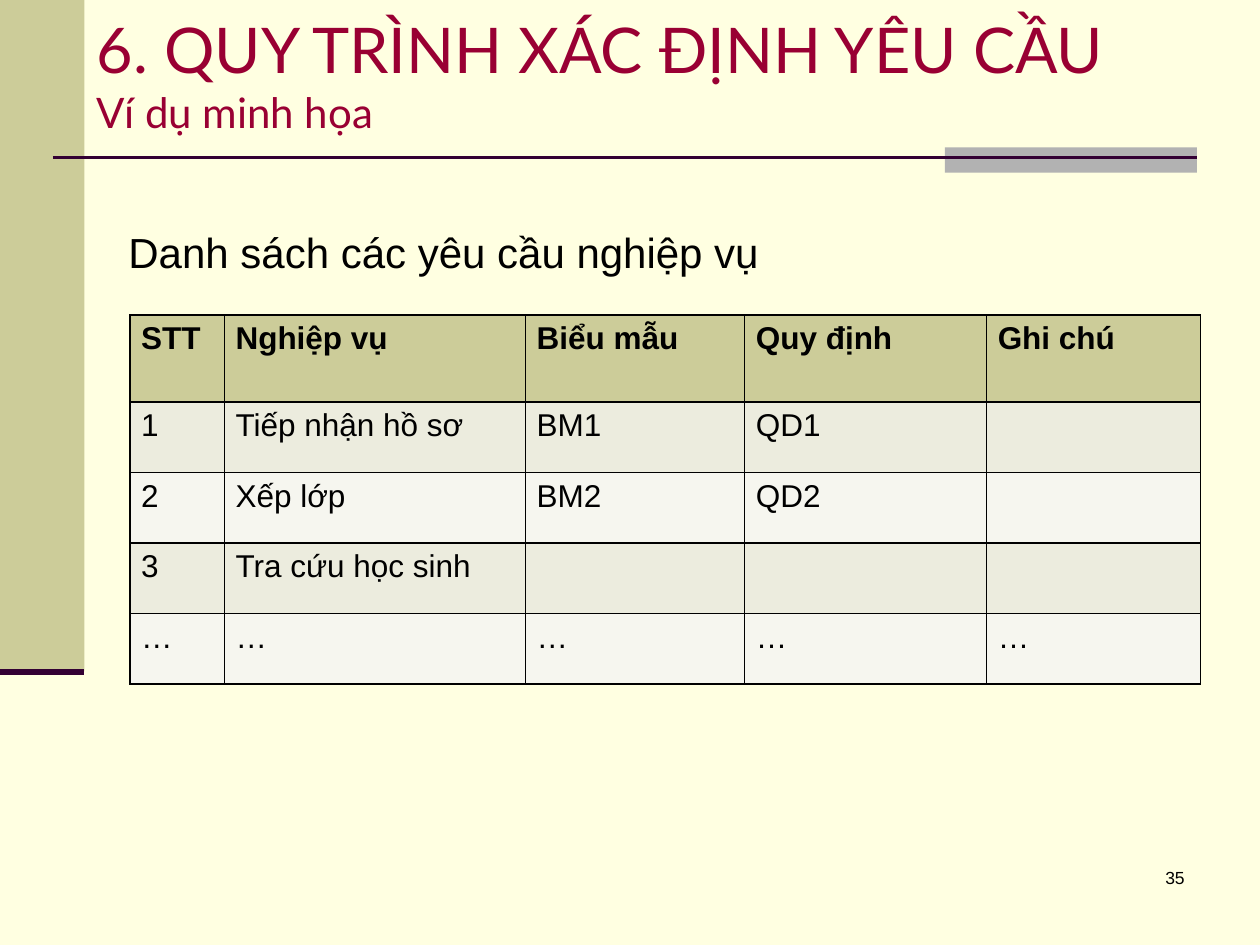
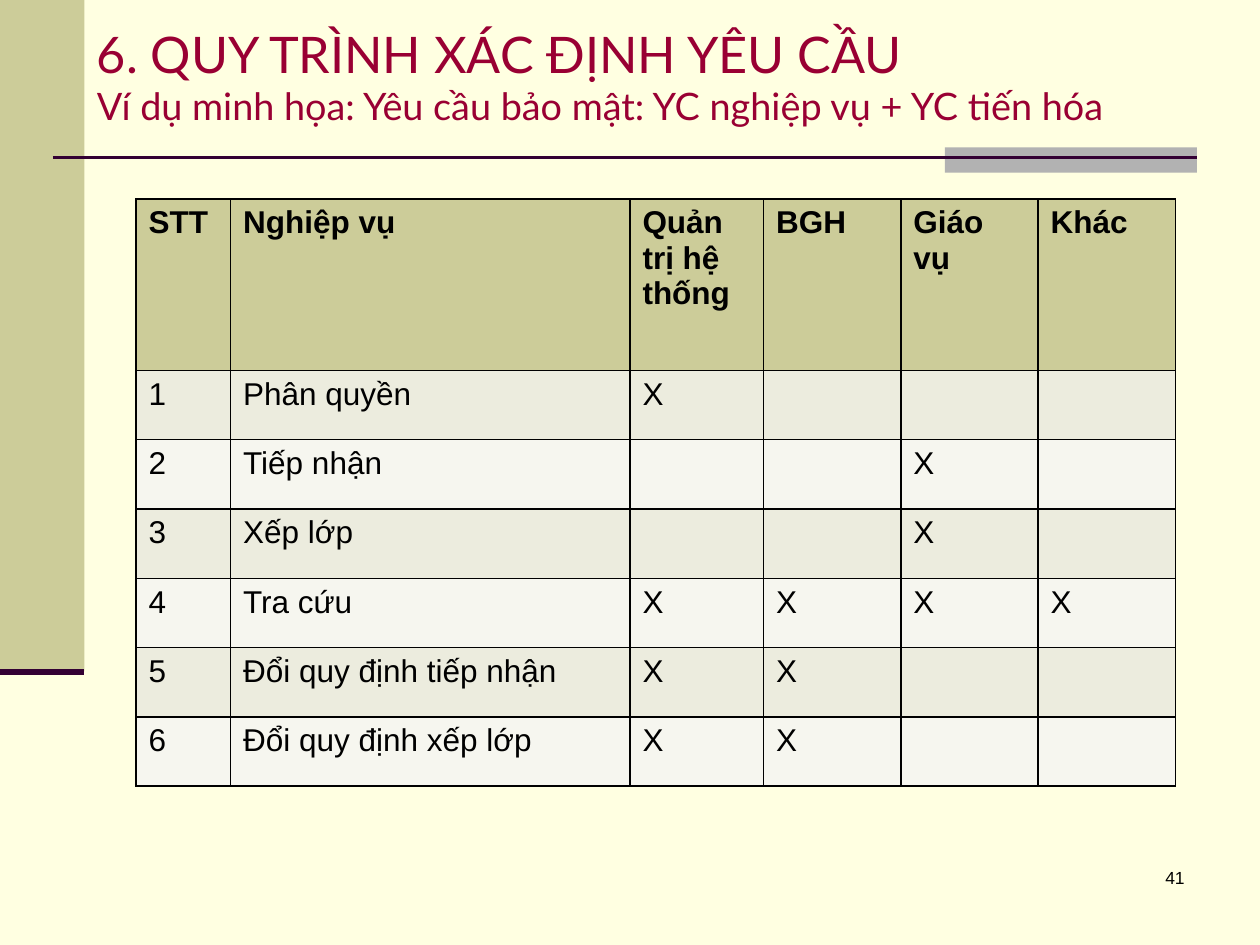
from lxml import etree
from pptx import Presentation
from pptx import util as u
from pptx.dml.color import RGBColor
from pptx.enum import shapes, text
from pptx.oxml import ns

EMU_PER_PX = 9144  # 100 px to the inch

CREAM = RGBColor(0xFF, 0xFF, 0xE1)
OLIVE = RGBColor(0xCC, 0xCC, 0x99)
GREY = RGBColor(0xB2, 0xB2, 0xB2)
PLUM = RGBColor(0x33, 0x00, 0x33)
CRIMSON = RGBColor(0x99, 0x00, 0x33)
BLACK = RGBColor(0x00, 0x00, 0x00)
ROW_FILLS = (RGBColor(0xEC, 0xEC, 0xDE), RGBColor(0xF6, 0xF6, 0xEF))

HEADING = "6. QUY TRÌNH XÁC ĐỊNH YÊU CẦU"
TITLE_FONT = {"name": "Lato", "color": CRIMSON}
BODY_FONT = {"name": "Arial", "color": BLACK}


def px(*lengths):
    return [u.Emu(length * EMU_PER_PX) for length in lengths]


def style_font(font, **values):
    for name, value in values.items():
        if name == "color":
            font.color.rgb = value
        else:
            setattr(font, name, u.Pt(value) if name == "size" else value)


class Deck:
    """Holds the presentation, its style and the current slide."""

    def __init__(self):
        self.presentation = Presentation()
        self.presentation.slide_width, self.presentation.slide_height = px(1000, 750)
        background = self.presentation.slide_master.background.fill
        background.solid()
        background.fore_color.rgb = CREAM
        self.slide = None

    def start_slide(self, number):
        """Add a blank slide with the shared bands, rules and page number."""
        self.slide = self.presentation.slides.add_slide(self.presentation.slide_layouts[6])
        self.band(0, 0, 67, 533, OLIVE)
        self.band(750, 117, 200, 20, GREY)
        self.rule(42, 125, 950, 1.5)
        self.rule(0, 533, 67, 3.5)
        self.textbox(742, 683, 208, 50, [(str(number), 10)], BODY_FONT,
                     align=text.PP_ALIGN.RIGHT)

    def band(self, left, top, width, height, color):
        shape = self.slide.shapes.add_shape(
            shapes.MSO_SHAPE.RECTANGLE, *px(left, top, width, height))
        shape.shadow.inherit = False
        shape.fill.solid()
        shape.fill.fore_color.rgb = color
        shape.line.fill.background()

    def rule(self, left, top, right, weight):
        """Draw a horizontal line."""
        connector = self.slide.shapes.add_connector(
            shapes.MSO_CONNECTOR.STRAIGHT, *px(left, top, right, top))
        connector.line.color.rgb = PLUM
        connector.line.width = u.Pt(weight)
        etree.SubElement(connector._element.spPr, ns.qn("a:effectLst"))

    def textbox(self, left, top, width, height, lines, font,
                align=text.PP_ALIGN.LEFT, anchor=text.MSO_ANCHOR.TOP):
        """Write (wording, size) lines as one paragraph with line breaks."""
        frame = self.slide.shapes.add_textbox(*px(left, top, width, height)).text_frame
        frame.word_wrap = True
        frame.vertical_anchor = anchor
        paragraph = frame.paragraphs[0]
        paragraph.alignment = align
        for index, (wording, size) in enumerate(lines):
            if index:
                paragraph.add_line_break()
            run = paragraph.add_run()
            run.text = wording
            style_font(run.font, size=size, **font)

    def title(self, width, height, heading_size, subtitle, subtitle_size):
        self.textbox(67, 0, width, height,
                     [(HEADING, heading_size), (subtitle, subtitle_size)],
                     TITLE_FONT, anchor=text.MSO_ANCHOR.MIDDLE)

    def table(self, left, top, columns, header_height, row_height, rows, side_margin):
        heights = [header_height] + [row_height] * (len(rows) - 1)
        table = self.slide.shapes.add_table(
            len(rows), len(columns), *px(left, top, sum(columns), sum(heights))).table
        for column, width in zip(table.columns, px(*columns)):
            column.width = width
        for row, height in zip(table.rows, px(*heights)):
            row.height = height
        for row_index, row in enumerate(rows):
            fill = ROW_FILLS[(row_index - 1) % 2] if row_index else OLIVE
            for column_index, wording in enumerate(row):
                self.cell(table.cell(row_index, column_index), wording, fill,
                          row_index == 0, side_margin)

    def cell(self, cell, wording, fill, bold, side_margin):
        cell.margin_left, cell.margin_right = px(side_margin, side_margin)
        cell.margin_top, cell.margin_bottom = px(5, 5)
        cell.fill.solid()
        cell.fill.fore_color.rgb = fill
        cell.text = wording
        paragraph = cell.text_frame.paragraphs[0]
        for font in [paragraph.font] + [run.font for run in paragraph.runs]:
            style_font(font, size=18, bold=bold, **BODY_FONT)
        properties = cell._tc.get_or_add_tcPr()
        for index, side in enumerate("LRTB"):
            border = etree.Element(ns.qn(f"a:ln{side}"), w=str(u.Pt(1)))
            solid = etree.SubElement(border, ns.qn("a:solidFill"))
            etree.SubElement(solid, ns.qn("a:srgbClr"), val=str(BLACK))
            properties.insert(index, border)


def build_requirement_list(deck):
    deck.start_slide(35)
    deck.title(933, 117, 36, "Ví dụ minh họa", 24)
    deck.table(103, 250, [75, 239, 174, 192, 170], 69, 56, [
        ["STT", "Nghiệp vụ", "Biểu mẫu", "Quy định", "Ghi chú"],
        ["1", "Tiếp nhận hồ sơ", "BM1", "QD1", ""],
        ["2", "Xếp lớp", "BM2", "QD2", ""],
        ["3", "Tra cứu học sinh", "", "", ""],
        ["…"] * 5,
    ], side_margin=9)
    deck.textbox(92, 175, 858, 50, [("Danh sách các yêu cầu nghiệp vụ", 24)], BODY_FONT)


def build_security_matrix(deck):
    deck.start_slide(41)
    deck.title(883, 120, 28.8,
               "Ví dụ minh họa: Yêu cầu bảo mật: YC nghiệp vụ + YC tiến hóa", 21.6)
    roles = ["Quản trị hệ thống", "BGH", "Giáo vụ", "Khác"]
    permissions = [
        ("Phân quyền", roles[:1]),
        ("Tiếp nhận", ["Giáo vụ"]),
        ("Xếp lớp", ["Giáo vụ"]),
        ("Tra cứu", roles),
        ("Đổi quy định tiếp nhận", roles[:2]),
        ("Đổi quy định xếp lớp", roles[:2]),
    ]
    rows = [["STT", "Nghiệp vụ"] + roles]
    for number, (task, allowed) in enumerate(permissions, 1):
        rows.append([str(number), task] + ["X" if role in allowed else "" for role in roles])
    deck.table(108, 158, [75, 317, 106, 109, 109, 109], 136, 55, rows, side_margin=10)


def main():
    deck = Deck()
    build_requirement_list(deck)
    build_security_matrix(deck)
    deck.presentation.save("out.pptx")


if __name__ == "__main__":
    main()
